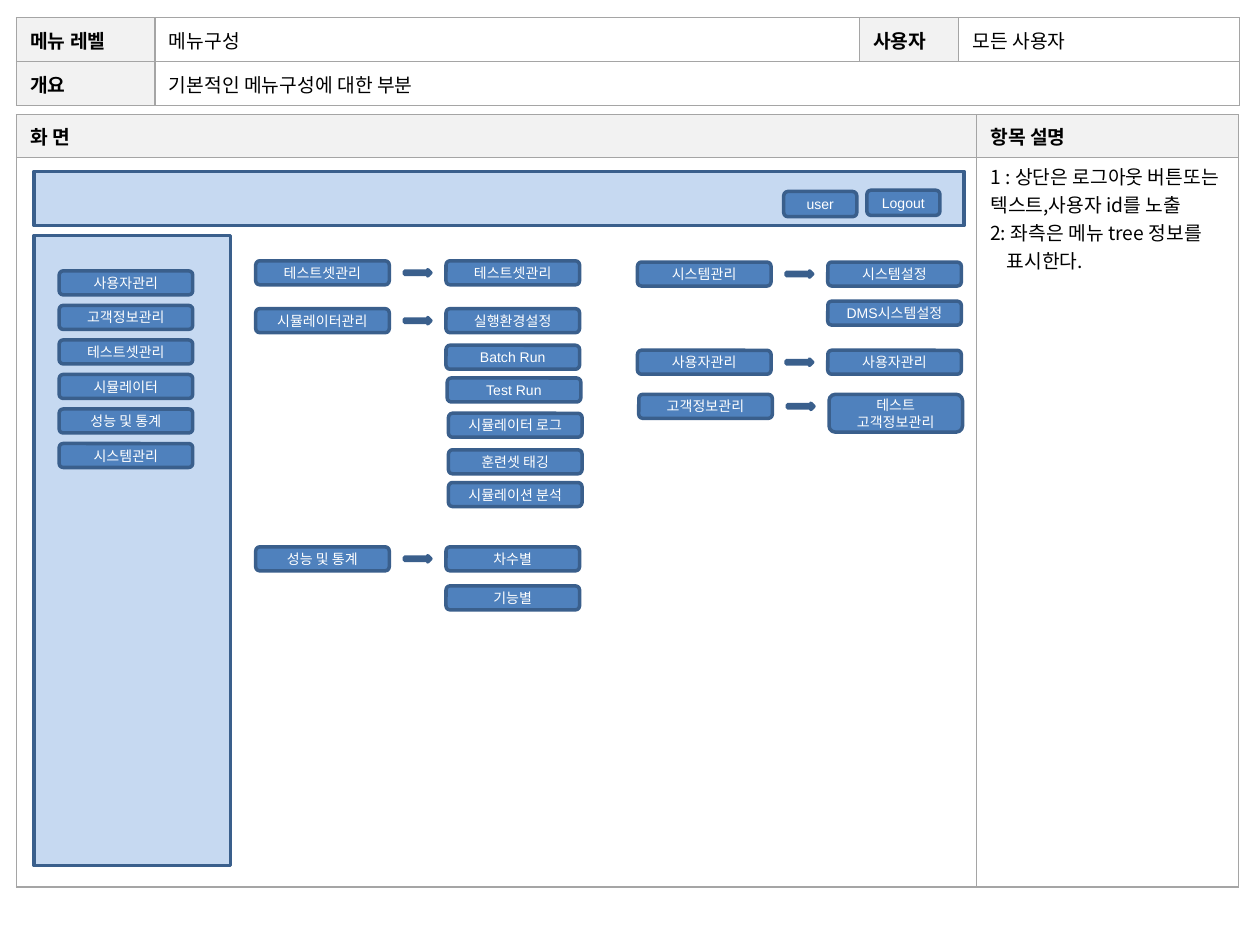
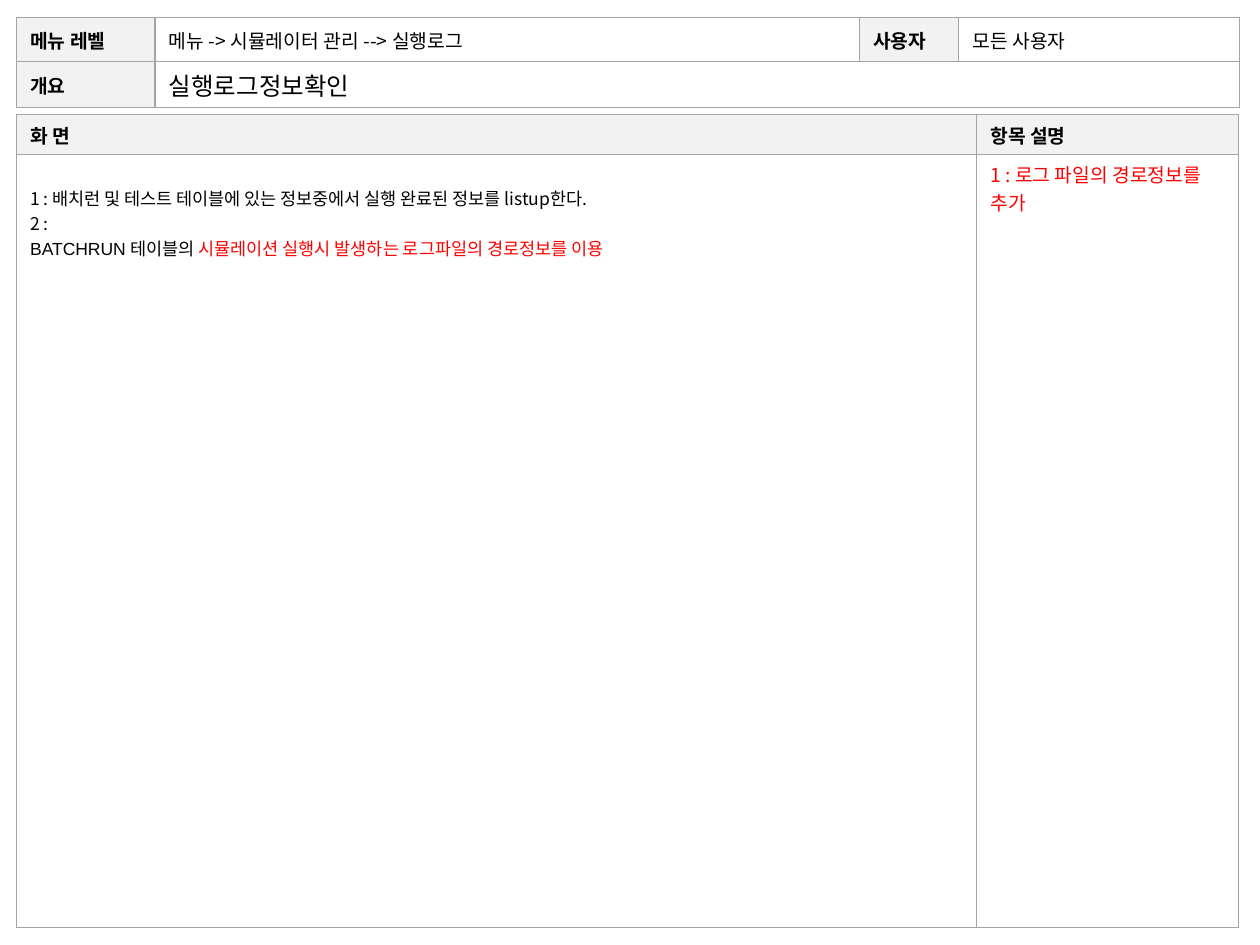
import pptx
import pptx.util
import pptx.dml.color
import pptx.enum.shapes
import pptx.enum.text
import lxml.etree

RGBColor = pptx.dml.color.RGBColor
SHAPE = pptx.enum.shapes.MSO_SHAPE
ANCHOR = pptx.enum.text.MSO_ANCHOR
ALIGN = pptx.enum.text.PP_ALIGN

# Shared colours and fonts
BLACK = RGBColor(0x00, 0x00, 0x00)
WHITE = RGBColor(0xFF, 0xFF, 0xFF)
RED = RGBColor(0xFF, 0x00, 0x00)
LABEL_GREY = RGBColor(0xF2, 0xF2, 0xF2)
BORDER_GREY = RGBColor(0xA5, 0xA5, 0xA5)
PANEL_BLUE = RGBColor(0xC6, 0xD9, 0xF1)
BUTTON_BLUE = RGBColor(0x4F, 0x81, 0xBD)
EDGE_BLUE = RGBColor(0x3A, 0x5F, 0x8C)
KOREAN = "Noto Sans CJK KR"
LATIN = "Arial"

# Grid: 100 columns by 75 rows over the slide
WIDTH, HEIGHT = pptx.util.Inches(10), pptx.util.Inches(7.5)
MARGIN = 1.3
BUTTON_W, BUTTON_H = 10.6, 1.9
CHILD_DX, ARROW_DX, ARROW_DY = 15.1, 11.8, 0.7


def col(n):
    return int(WIDTH * n / 100)


def row(n):
    return int(HEIGHT * n / 75)


def add_run(p, text, size=11, font=KOREAN, color=BLACK, bold=False):
    r = p.add_run()
    r.text = text
    r.font.size = pptx.util.Pt(size)
    r.font.name = font
    r.font.bold = bold
    r.font.color.rgb = color
    ea = lxml.etree.SubElement(r.font._element, pptx.oxml.ns.qn("a:ea"))
    ea.set("typeface", KOREAN)


def write(tf, paragraphs, align=ALIGN.LEFT, indent=None, **fmt):
    """Each paragraph is a text or a list of (text, format) runs."""
    for i, runs in enumerate(paragraphs):
        p = tf.paragraphs[0] if i == 0 else tf.add_paragraph()
        p.alignment = align
        if indent and i in indent:
            p._p.get_or_add_pPr().set("marL", str(col(indent[i])))
        if isinstance(runs, str):
            runs = [(runs, {})]
        for text, extra in runs:
            add_run(p, text, **{**fmt, **extra})


# Tables
def set_borders(cell):
    tc_pr = cell._tc.get_or_add_tcPr()
    for i, side in enumerate(("lnL", "lnR", "lnT", "lnB")):
        ln = pptx.oxml.parse_xml(
            f'<a:{side} xmlns:a="http://schemas.openxmlformats.org/drawingml/2006/main" w="9525">'
            f'<a:solidFill><a:srgbClr val="{BORDER_GREY}"/></a:solidFill></a:{side}>')
        tc_pr.insert(i, ln)


def add_grid_table(s, top, widths, heights):
    shape = s.shapes.add_table(len(heights), len(widths), col(MARGIN), row(top),
                               col(sum(widths)), row(sum(heights)))
    table = shape.table
    table.first_row = table.horz_banding = False
    for column, width in zip(table.columns, widths):
        column.width = col(width)
    for line, height in zip(table.rows, heights):
        line.height = row(height)
    for cell in table.iter_cells():
        cell.fill.background()
        set_borders(cell)
    return table


def fill_cell(cell, paragraphs, fill=None, anchor=ANCHOR.MIDDLE, top=0.4, **fmt):
    cell.margin_left = cell.margin_right = col(1.1)
    cell.margin_top, cell.margin_bottom = row(top), row(0.4)
    cell.vertical_anchor = anchor
    if fill is not None:
        cell.fill.solid()
        cell.fill.fore_color.rgb = fill
    write(cell.text_frame, paragraphs, **fmt)


def label_cell(cell, text):
    fill_cell(cell, [text], fill=LABEL_GREY, bold=True)


def add_info_table(s, level, summary, **summary_fmt):
    table = add_grid_table(s, 1.4, (11, 55.9, 7.9, 22.3), (3.5, 3.5))
    table.cell(1, 1).merge(table.cell(1, 3))
    label_cell(table.cell(0, 0), "메뉴 레벨")
    label_cell(table.cell(0, 2), "사용자")
    label_cell(table.cell(1, 0), "개요")
    fill_cell(table.cell(0, 1), [level])
    fill_cell(table.cell(0, 3), ["모든 사용자"])
    fill_cell(table.cell(1, 1), [summary], **summary_fmt)


def add_screen_table(s, heights):
    table = add_grid_table(s, 9.1, (76.2, 20.8), heights)
    label_cell(table.cell(0, 0), "화 면")
    label_cell(table.cell(0, 1), "항목 설명")
    return table.cell(1, 0), table.cell(1, 1)


# Menu shapes
def add_block(s, kind, x, y, w, h, fill):
    sp = s.shapes.add_shape(kind, col(x), row(y), col(w), row(h))
    sp.shadow.inherit = False
    sp.fill.solid()
    sp.fill.fore_color.rgb = fill
    sp.line.color.rgb = EDGE_BLUE
    sp.line.width = pptx.util.Pt(2)
    return sp


def add_button(s, x, y, text, w=BUTTON_W, h=BUTTON_H):
    sp = add_block(s, SHAPE.ROUNDED_RECTANGLE, x, y, w, h, BUTTON_BLUE)
    tf = sp.text_frame
    tf.margin_left = tf.margin_right = tf.margin_top = tf.margin_bottom = 0
    tf.word_wrap = True
    tf.vertical_anchor = ANCHOR.MIDDLE
    write(tf, text.split("\n"), align=ALIGN.CENTER, size=8, font=LATIN, color=WHITE)


def add_menu_group(s, x, y, parent, children):
    """Parent button, arrow, and children given as (row, label, shift)."""
    add_button(s, x, y, parent)
    add_block(s, SHAPE.RIGHT_ARROW, x + ARROW_DX, y + ARROW_DY, 2.1, 0.5, BUTTON_BLUE)
    for child_y, label, shift in children:
        lines = label.count("\n")
        add_button(s, x + CHILD_DX + shift, child_y, label, h=BUTTON_H + 1.1 * lines)


SIDE_MENU = ("사용자관리", "고객정보관리", "테스트셋관리", "시뮬레이터", "성능 및 통계", "시스템관리")
MENU_GROUPS = (
    (20.3, 20.7, "테스트셋관리", [(20.7, "테스트셋관리", 0)]),
    (20.3, 24.5, "시뮬레이터관리", [
        (24.5, "실행환경설정", 0), (27.4, "Batch Run", 0), (30, "Test Run", 0.1),
        (32.8, "시뮬레이터 로그", 0.2), (35.7, "훈련셋 태깅", 0.2),
        (38.3, "시뮬레이션 분석", 0.2)]),
    (20.3, 43.4, "성능 및 통계", [(43.4, "차수별", 0), (46.5, "기능별", 0)]),
    (50.6, 20.8, "시스템관리", [(20.8, "시스템설정", 0), (23.9, "DMS시스템설정", 0)]),
    (50.6, 27.8, "사용자관리", [(27.8, "사용자관리", 0)]),
    (50.7, 31.3, "고객정보관리", [(31.3, "테스트\n고객정보관리", 0)]),
)


def build_menu_slide(s):
    add_info_table(s, "메뉴구성", "기본적인 메뉴구성에 대한 부분")
    screen, notes = add_screen_table(s, (3.4, 57.9))
    fill_cell(screen, [], fill=WHITE)
    fill_cell(notes, ["1 : 상단은 로그아웃 버튼또는 텍스트,사용자 id를 노출",
                      "2: 좌측은 메뉴 tree 정보를", "표시한다."],
              fill=WHITE, anchor=ANCHOR.TOP, indent={2: 1.3})
    # Top bar and side bar
    add_block(s, SHAPE.RECTANGLE, 2.7, 13.6, 73.8, 4.3, PANEL_BLUE)
    add_block(s, SHAPE.RECTANGLE, 2.7, 18.7, 15.6, 50, PANEL_BLUE)
    add_button(s, 68.8, 15.1, "Logout", w=5.8, h=2)
    add_button(s, 62.2, 15.2, "user", w=5.8, h=2)
    for i, label in enumerate(SIDE_MENU):
        add_button(s, 4.7, 21.5 + 2.74 * i, label)
    # Menu tree
    for group in MENU_GROUPS:
        add_menu_group(s, *group)


def build_log_slide(s):
    add_info_table(s, [("메뉴 -> 시뮬레이터 관리 --> ", {}), ("실행로그", {"font": LATIN})],
                   "실행로그정보확인", size=14, font=LATIN)
    screen, notes = add_screen_table(s, (3.2, 61.3))
    fill_cell(screen, [
        "1 : 배치런 및 테스트 테이블에 있는 정보중에서 실행 완료된 정보를 listup한다.",
        "2 :",
        [("BATCHRUN 테이블의 ", {"font": LATIN}),
         ("시뮬레이션 실행시 발생하는 로그파일의 경로정보를 이용", {"font": LATIN, "color": RED})],
    ], fill=WHITE, anchor=ANCHOR.TOP, top=2.4, size=10)
    fill_cell(notes, ["1 : 로그 파일의 경로정보를 추가"], fill=WHITE,
              anchor=ANCHOR.TOP, color=RED)


def main():
    prs = pptx.Presentation()
    prs.slide_width, prs.slide_height = WIDTH, HEIGHT
    blank = prs.slide_layouts[6]
    for build in (build_menu_slide, build_log_slide):
        build(prs.slides.add_slide(blank))
    prs.save("out.pptx")


if __name__ == "__main__":
    main()
